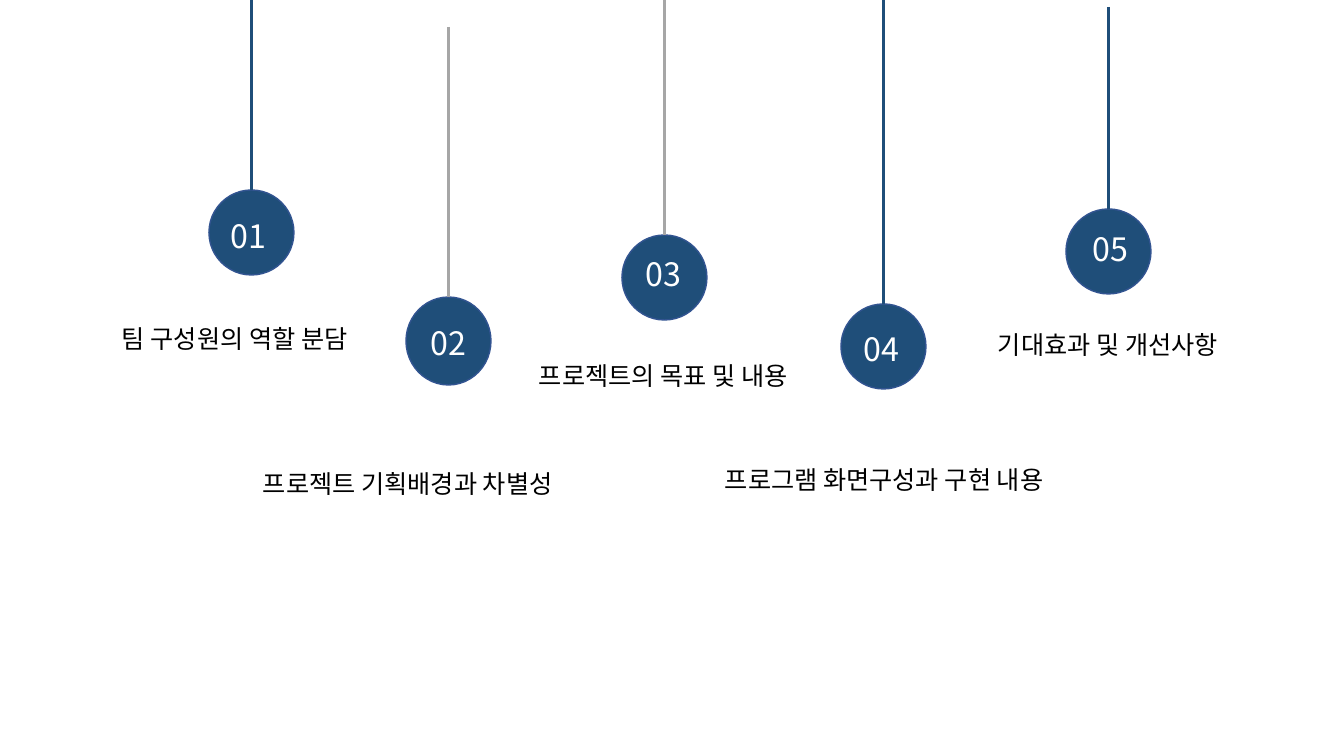
from lxml.etree import SubElement
from pptx import Presentation
from pptx.dml.color import RGBColor
from pptx.enum.shapes import MSO_CONNECTOR as Connector, MSO_SHAPE as Shape
from pptx.enum.text import MSO_AUTO_SIZE as AutoSize
from pptx.oxml.ns import qn
from pptx.util import Pt

EMU_PER_PX = 914400 / 100.8
FONT = "Noto Sans CJK KR"
NAVY = RGBColor(0x1F, 0x4E, 0x79)
RIM = RGBColor(0x32, 0x54, 0x91)
GRAY = RGBColor(0xA6, 0xA6, 0xA6)
WHITE = RGBColor(0xFF, 0xFF, 0xFF)
BLACK = RGBColor(0x00, 0x00, 0x00)

# Ball box, top of the string, string colour, number offset in the ball,
# label text, label offset from the ball, label width
PENDULUMS = [
    ((209, 190, 85, 85), 0, NAVY, (12, 21),
     "팀 구성원의 역할 분담", (-97, 128), 433),
    ((406, 297, 85, 88), 27, GRAY, (15, 21),
     "프로젝트 기획배경과 차별성", (-153, 166), 453),
    ((622, 235, 85, 85), 0, GRAY, (14, 14),
     "프로젝트의 목표 및 내용", (-93, 120), 511),
    ((841, 304, 85, 85), 0, NAVY, (13, 20),
     "프로그램 화면구성과 구현 내용", (-126, 155), 402),
    ((1066, 209, 85, 85), 7, NAVY, (17, 15),
     "기대효과 및 개선사항", (-78, 115), 356),
]


def px(length):
    return round(length * EMU_PER_PX)


def add_text(page, text, box, size, color, wrap=True):
    shape = page.shapes.add_textbox(*map(px, box))
    frame = shape.text_frame
    frame.word_wrap = wrap
    frame.auto_size = AutoSize.SHAPE_TO_FIT_TEXT
    span = frame.paragraphs[0].add_run()
    span.text = text
    span.font.size = Pt(size)
    span.font.name = FONT
    span.font.color.rgb = color
    # Korean glyphs take the East Asian typeface
    SubElement(span.font._element, qn("a:ea"), typeface=FONT)


def add_ball(page, box):
    ball = page.shapes.add_shape(Shape.OVAL, *map(px, box))
    ball.shadow.inherit = False
    ball.fill.solid()
    ball.fill.fore_color.rgb = NAVY
    ball.line.color.rgb = RIM
    ball.line.width = Pt(1)
    return ball


def add_string(page, ball, top, color):
    center = ball.left + ball.width // 2
    string = page.shapes.add_connector(
        Connector.STRAIGHT, center, px(top), center, ball.top)
    string.end_connect(ball, 0)
    string.line.color.rgb = color
    string.line.width = Pt(1.5)
    SubElement(string._element.spPr, qn("a:effectLst"))


def add_pendulum(page, number, box, string_top, string_color,
                 number_offset, label, label_offset, label_width):
    left, top = box[:2]

    # Ball hanging on its string
    ball = add_ball(page, box)
    add_string(page, ball, string_top, string_color)

    # Number in the ball
    number_box = (left + number_offset[0], top + number_offset[1], 61, 49)
    add_text(page, f"{number:02}", number_box, 23, WHITE, wrap=False)

    # Label under the ball
    label_box = (left + label_offset[0], top + label_offset[1], label_width, 40)
    add_text(page, label, label_box, 18, BLACK)


def main():
    deck = Presentation()
    deck.slide_width, deck.slide_height = px(1344), px(756)
    page = deck.slides.add_slide(deck.slide_layouts[6])
    for number, pendulum in enumerate(PENDULUMS, start=1):
        add_pendulum(page, number, *pendulum)
    deck.save("out.pptx")


if __name__ == "__main__":
    main()
